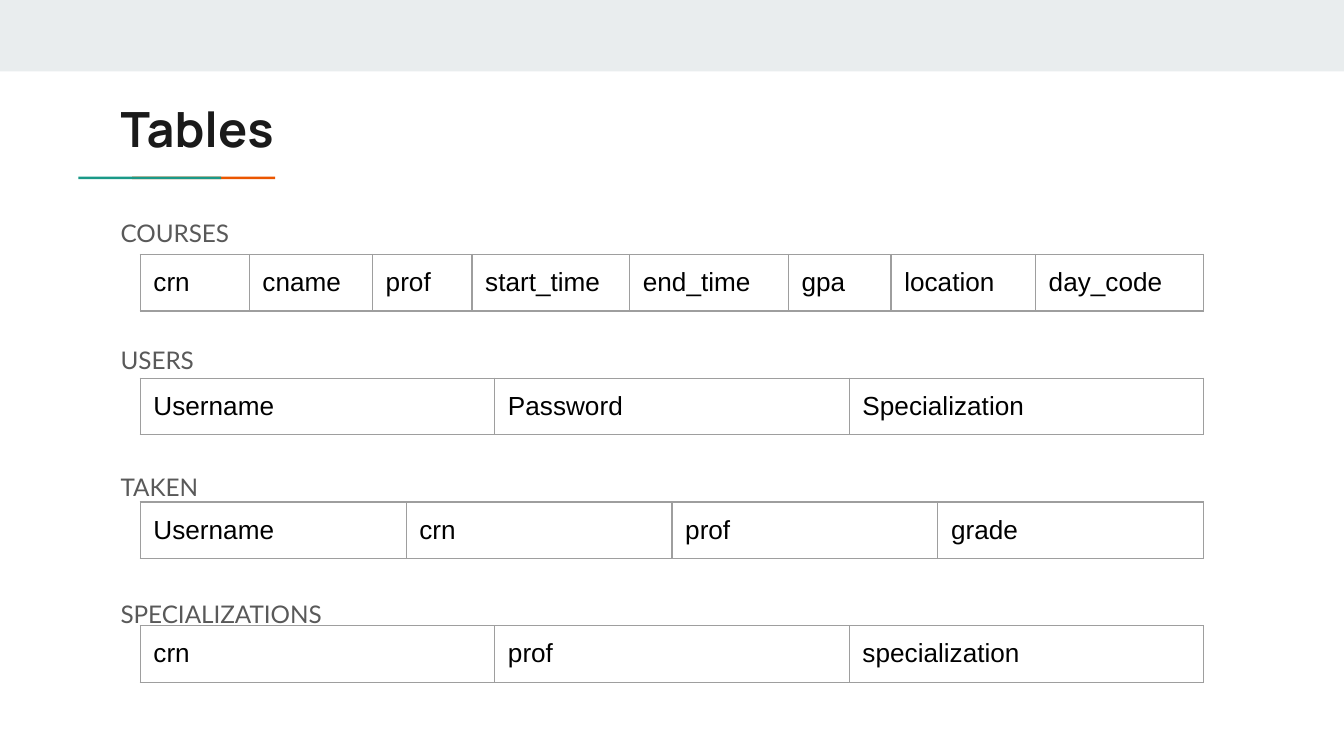
from dataclasses import dataclass

from lxml import etree
from pptx import Presentation
from pptx.dml.color import RGBColor
from pptx.enum.shapes import MSO_SHAPE
from pptx.enum.text import MSO_ANCHOR, MSO_AUTO_SIZE, PP_ALIGN
from pptx.oxml.ns import qn
from pptx.util import Cm, Pt

RECT = MSO_SHAPE.RECTANGLE
TOP = MSO_ANCHOR.TOP
LEFT = PP_ALIGN.LEFT
FIXED = MSO_AUTO_SIZE.NONE

HUES = {
    "band": "E9EDEE",
    "teal": "1A9988",
    "orange": "EB5600",
    "title": "1A1A1A",
    "label": "595959",
    "cell": "000000",
    "edge": "9E9E9E",
}
FONTS = {
    "title": {"name": "Manrope", "size": Pt(26), "bold": True},
    "label": {"name": "Lato", "size": Pt(13), "bold": False},
    "cell": {"name": "Arial", "size": Pt(14), "bold": False},
}
PAD = Cm(0.25)
FRAME = {
    "margin_left": PAD,
    "margin_right": PAD,
    "margin_top": PAD,
    "margin_bottom": PAD,
    "vertical_anchor": TOP,
}
BOX = FRAME | {"word_wrap": True, "auto_size": FIXED}

GRID_LEFT, GRID_TOP, GRID_STEP = 2.65, 4.81, 2.34
GRID_WIDTH, ROW, SIDE = 20.1, 1.07, 8.33


@dataclass
class Bar:
    left: float
    top: float
    width: float
    height: float
    hue: str


@dataclass
class Schema:
    name: str
    fields: list[str]
    widths: list[float] | None = None


BARS = [
    Bar(0, 0, 25.4, 1.35, "band"),
    Bar(2.5, 3.34, 2.7, 0.05, "orange"),
    Bar(1.48, 3.34, 2.7, 0.05, "teal"),
]
SCHEMAS = [
    Schema(
        "COURSES",
        ["crn", "cname", "prof", "start_time", "end_time", "gpa", "location", "day_code"],
        [2.06, 2.33, 1.88, 2.98, 3, 1.94, 2.73, 3.18],
    ),
    Schema("USERS", ["Username", "Password", "Specialization"]),
    Schema("TAKEN", ["Username", "crn", "prof", "grade"]),
    Schema("SPECIALIZATIONS", ["crn", "prof", "specialization"]),
]


def apply(target, values: dict) -> None:
    for key, value in values.items():
        setattr(target, key, value)


def write(para, text: str, style: str) -> None:
    para.alignment = LEFT
    run = para.add_run()
    run.text = text
    apply(run.font, FONTS[style])
    run.font.color.rgb = RGBColor.from_string(HUES[style])


def place(shape, left: float, top: float, width: float, height: float) -> None:
    apply(shape, {
        "left": Cm(left),
        "top": Cm(top),
        "width": Cm(width),
        "height": Cm(height),
    })


def draw_bar(slide, bar: Bar) -> None:
    shape = slide.shapes.add_shape(
        RECT, Cm(bar.left), Cm(bar.top), Cm(bar.width), Cm(bar.height)
    )
    shape.shadow.inherit = False
    shape.fill.solid()
    shape.fill.fore_color.rgb = RGBColor.from_string(HUES[bar.hue])
    shape.line.fill.background()


def draw_title(slide, text: str) -> None:
    title = slide.shapes.title
    place(title, 2.03, 1.62, 21.36, 1.5)
    apply(title.text_frame, BOX)
    write(title.text_frame.paragraphs[0], text, "title")


def draw_labels(slide, names: list[str]) -> None:
    box = slide.shapes.add_textbox(Cm(2.03), Cm(3.8), Cm(21.36), Cm(6.27))
    frame = box.text_frame
    apply(frame, BOX)
    for i, name in enumerate(names):
        para = frame.add_paragraph() if i else frame.paragraphs[0]
        apply(para, {"line_spacing": 1.15, "space_before": Pt(50 if i else 0)})
        write(para, name, "label")


def edge_cell(cell) -> None:
    props = cell._tc.get_or_add_tcPr()
    for side in ("lnL", "lnR", "lnT", "lnB"):
        line = etree.SubElement(props, qn(f"a:{side}"), w=str(Pt(0.75)))
        fill = etree.SubElement(line, qn("a:solidFill"))
        etree.SubElement(fill, qn("a:srgbClr"), val=HUES["edge"])


def draw_schema(slide, schema: Schema, top: float) -> None:
    count = len(schema.fields)
    widths = schema.widths or [GRID_WIDTH / count] * count
    holder = slide.shapes.add_table(
        1, count, Cm(GRID_LEFT), Cm(top), Cm(GRID_WIDTH), Cm(ROW)
    )
    table = holder.table
    apply(table, {"first_row": False, "horz_banding": False})
    for i, (field, width) in enumerate(zip(schema.fields, widths)):
        table.columns[i].width = Cm(width)
        cell = table.cell(0, i)
        apply(cell, FRAME)
        edge_cell(cell)
        cell.fill.background()
        write(cell.text_frame.paragraphs[0], field, "cell")
    place(holder, GRID_LEFT, top, SIDE, SIDE)


def main() -> None:
    deck = Presentation()
    apply(deck, {"slide_width": Cm(25.4), "slide_height": Cm(14.29)})
    slide = deck.slides.add_slide(deck.slide_layouts[5])
    for bar in BARS:
        draw_bar(slide, bar)
    draw_title(slide, "Tables")
    draw_labels(slide, [schema.name for schema in SCHEMAS])
    for i, schema in enumerate(SCHEMAS):
        draw_schema(slide, schema, GRID_TOP + i * GRID_STEP)
    deck.save("out.pptx")


if __name__ == "__main__":
    main()
